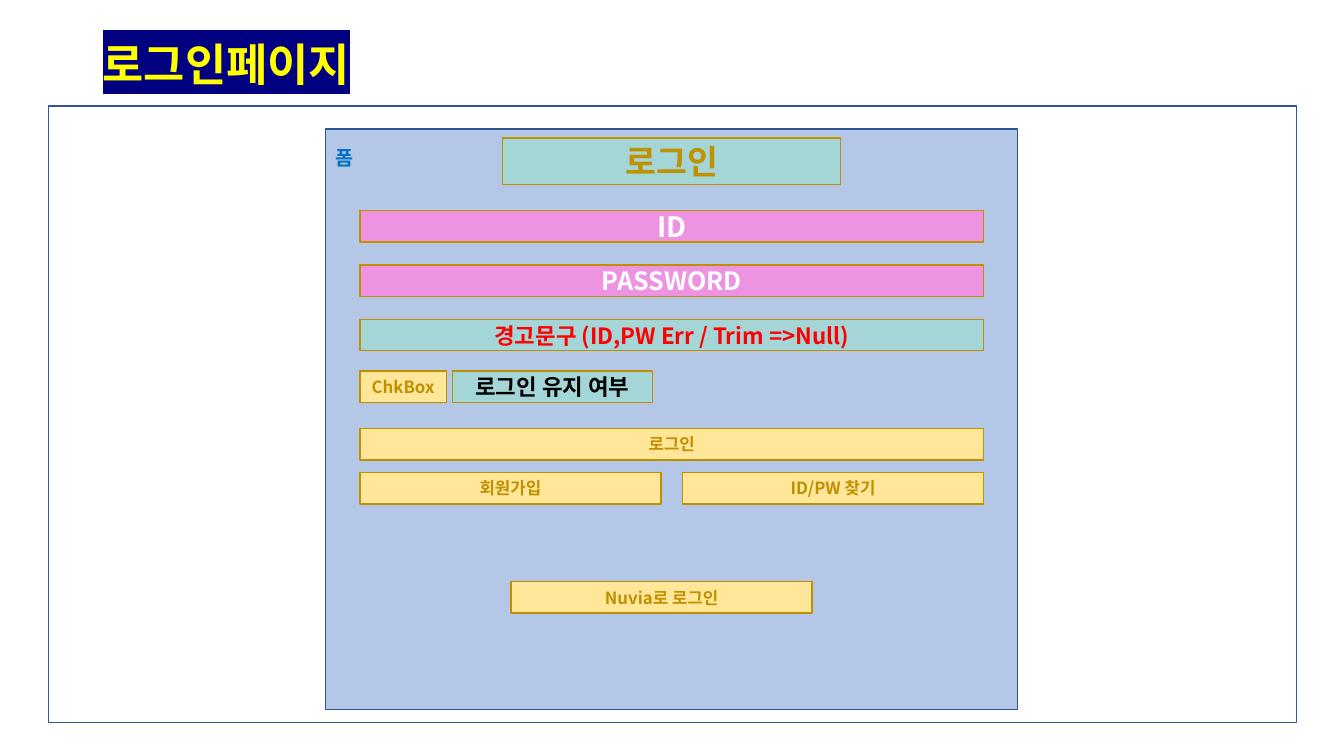
from dataclasses import dataclass

from lxml.etree import SubElement
from pptx import Presentation
from pptx.dml.color import RGBColor
from pptx.enum.shapes import MSO_SHAPE
from pptx.enum.text import MSO_ANCHOR, PP_ALIGN
from pptx.oxml.ns import qn
from pptx.util import Cm, Pt


@dataclass(frozen=True)
class Theme:
    font: str = "Noto Sans CJK KR"
    white: str = "FFFFFF"
    black: str = "000000"
    navy: str = "000080"
    yellow: str = "FFFF00"
    red: str = "FF0000"
    label_blue: str = "0070C0"
    frame_line: str = "325491"
    form_fill: str = "B4C7E7"
    gold: str = "BF9000"
    text_fill: str = "A4D6D8"
    input_fill: str = "ED93E2"
    button_fill: str = "FFE699"
    title_size: int = 32
    heading_size: int = 24
    id_size: int = 20
    password_size: int = 18
    message_size: int = 16
    label_size: int = 14
    button_size: int = 12
    line_width: int = 1


class WireframeSlide:
    def __init__(self, slide, theme):
        self.slide = slide
        self.theme = theme

    def set_text(self, shape, text, size, color, alignment, anchor):
        text_frame = shape.text_frame
        text_frame.word_wrap = True
        text_frame.vertical_anchor = anchor
        text_frame.text = text
        paragraph = text_frame.paragraphs[0]
        paragraph.alignment = alignment
        run = paragraph.runs[0]
        run.font.size = Pt(size)
        run.font.bold = True
        run.font.color.rgb = RGBColor.from_string(color)
        run.font.name = self.theme.font
        properties = run._r.get_or_add_rPr()
        SubElement(properties, qn("a:ea")).set("typeface", self.theme.font)
        return properties

    def title(self, text, left, top, width, height):
        shape = self.slide.shapes.add_textbox(Cm(left), Cm(top), Cm(width), Cm(height))
        shape.text_frame.margin_top = 0
        shape.text_frame.margin_bottom = Cm(0.1)
        properties = self.set_text(shape, text, self.theme.title_size, self.theme.yellow,
                                   PP_ALIGN.LEFT, MSO_ANCHOR.MIDDLE)
        highlight = SubElement(properties, qn("a:highlight"))
        SubElement(highlight, qn("a:srgbClr")).set("val", self.theme.navy)
        properties.find(qn("a:solidFill")).addnext(highlight)

    def box(self, left, top, width, height, fill, line):
        shape = self.slide.shapes.add_shape(
            MSO_SHAPE.RECTANGLE, Cm(left), Cm(top), Cm(width), Cm(height))
        shape.shadow.inherit = False
        shape.fill.solid()
        shape.fill.fore_color.rgb = RGBColor.from_string(fill)
        shape.line.color.rgb = RGBColor.from_string(line)
        shape.line.width = Pt(self.theme.line_width)
        return shape

    def form(self, label, left, top, width, height):
        shape = self.box(left, top, width, height, self.theme.form_fill, self.theme.frame_line)
        shape.text_frame.margin_top = Cm(0.43)
        self.set_text(shape, label, self.theme.label_size, self.theme.label_blue,
                      PP_ALIGN.LEFT, MSO_ANCHOR.TOP)

    def field(self, text, left, top, width, height, fill, size, color):
        shape = self.box(left, top, width, height, fill, self.theme.gold)
        self.set_text(shape, text, size, color, PP_ALIGN.CENTER, MSO_ANCHOR.MIDDLE)

    def button(self, text, left, top, width, height):
        self.field(text, left, top, width, height, self.theme.button_fill,
                   self.theme.button_size, self.theme.gold)


presentation = Presentation()
presentation.slide_width = Cm(33.87)
presentation.slide_height = Cm(19.05)
theme = Theme()
page = WireframeSlide(presentation.slides.add_slide(presentation.slide_layouts[6]), theme)

page.box(1.22, 2.67, 31.45, 15.54, theme.white, theme.frame_line)
page.title("로그인페이지", 2.34, 0.84, 14.83, 1.63)
page.form("폼", 8.2, 3.25, 17.45, 14.63)
page.field("로그인", 12.67, 3.48, 8.51, 1.17, theme.text_fill, theme.heading_size, theme.gold)

row_left, row_width, row_height = 9.07, 15.72, 0.79
first_row, row_step = 5.31, 1.37
full_rows = [
    ("ID", theme.input_fill, theme.id_size, theme.white),
    ("PASSWORD", theme.input_fill, theme.password_size, theme.white),
    ("경고문구 (ID,PW Err / Trim =>Null)", theme.text_fill, theme.message_size, theme.red),
]
for index, (text, fill, size, color) in enumerate(full_rows):
    page.field(text, row_left, first_row + index * row_step, row_width, row_height,
               fill, size, color)

keep_login_top = 9.35
page.button("ChkBox", row_left, keep_login_top, 2.18, row_height)
page.field("로그인 유지 여부", 11.4, keep_login_top, 5.05, row_height,
           theme.text_fill, theme.message_size, theme.black)

half_width = 7.59
half_right = row_left + row_width - half_width
buttons = [
    ("로그인", row_left, 10.8, row_width),
    ("회원가입", row_left, 11.91, half_width),
    ("ID/PW 찾기", half_right, 11.91, half_width),
    ("Nuvia로 로그인", 12.88, 14.66, half_width),
]
for text, left, top, width in buttons:
    page.button(text, left, top, width, row_height)

presentation.save("out.pptx")
